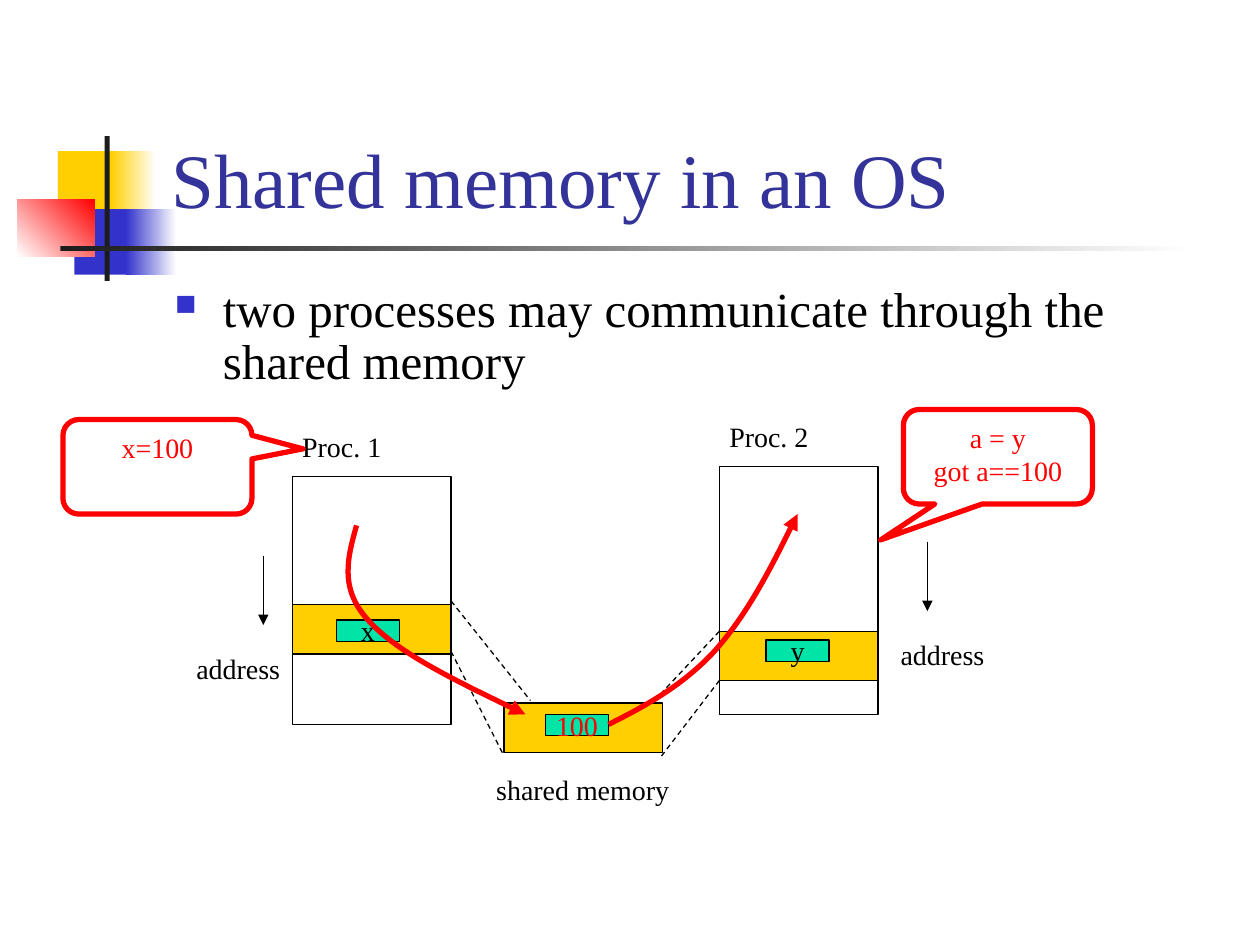
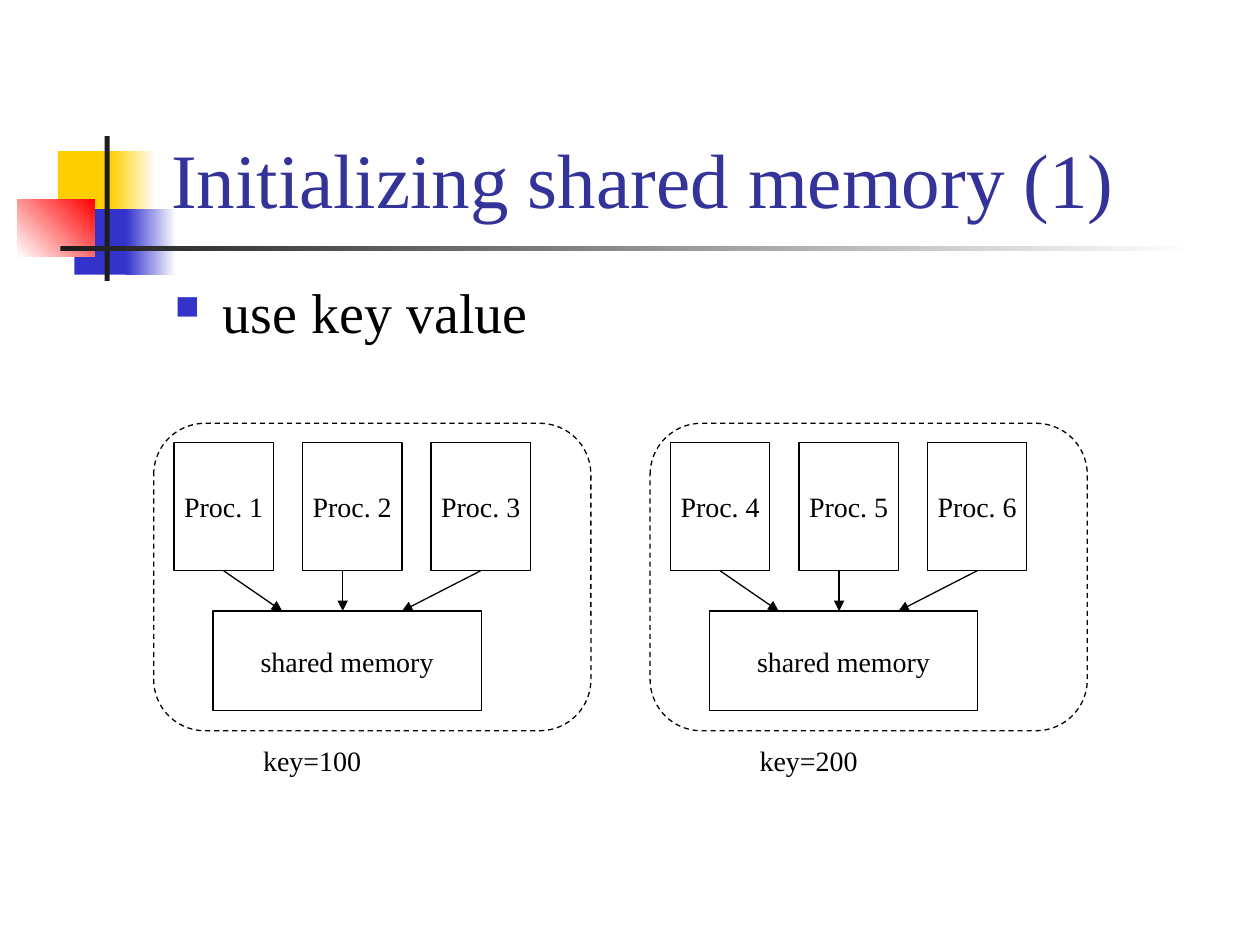
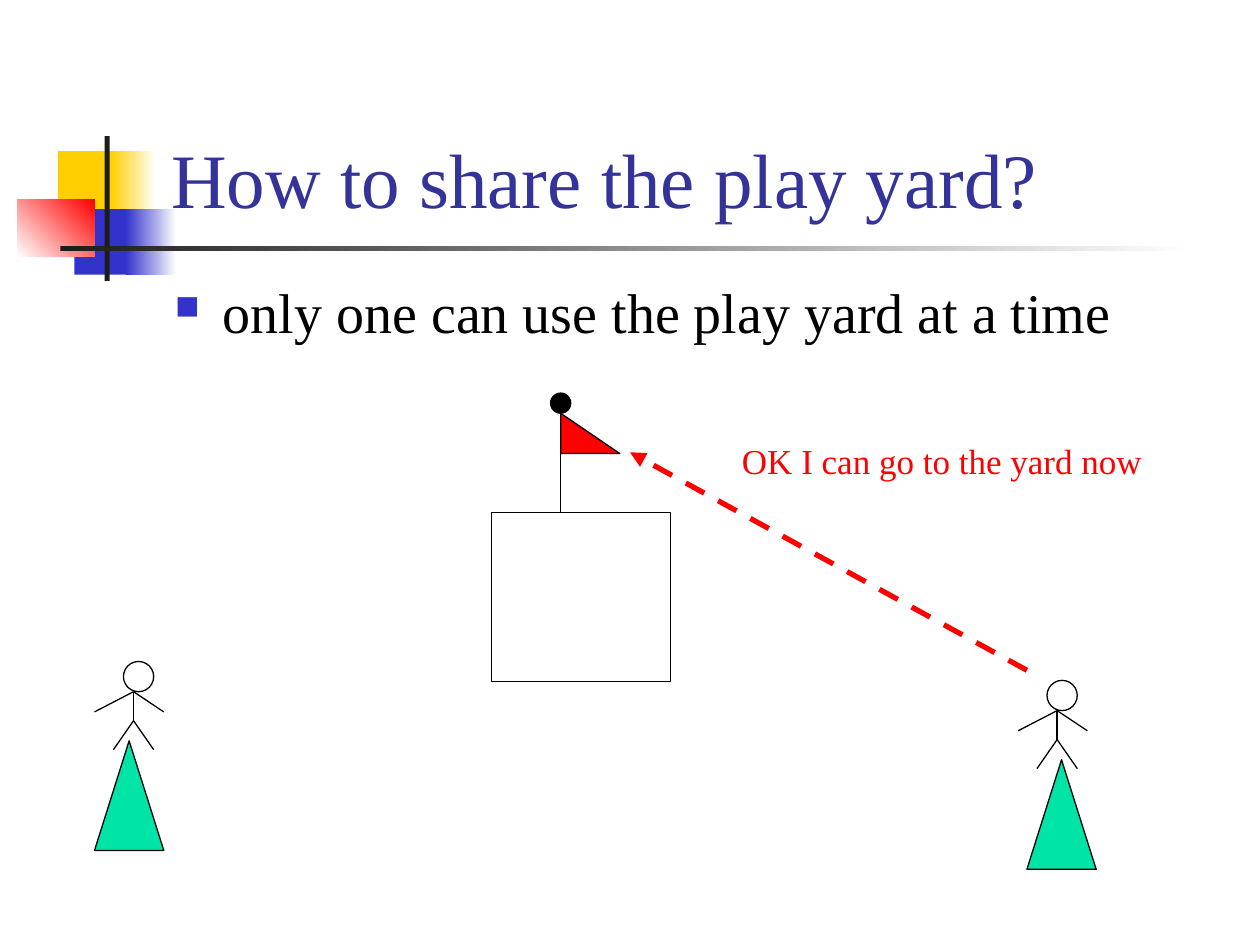
"""Build three slides on shared memory and taking turns."""
from lxml.etree import SubElement
from pptx import Presentation
from pptx.dml.color import RGBColor as Rgb
from pptx.enum.dml import MSO_LINE as Dash
from pptx.enum.shapes import MSO_CONNECTOR as Conn, MSO_SHAPE as Kind
from pptx.enum.text import MSO_ANCHOR as Anchor, MSO_AUTO_SIZE as Fit, PP_ALIGN as Align
from pptx.oxml.ns import qn
from pptx.util import Inches, Pt

FONT = "Times New Roman"
HUES = {"black": "000000", "white": "FFFFFF", "red": "FF0000", "gold": "FFCF01",
        "blue": "3333CC", "navy": "333399", "green": "00E4A8", "dark": "1C1C1C"}
TONE = {name: Rgb.from_string(code) for name, code in HUES.items()}


def box(slide, kind, spot, text="", fill=None, edge="black", wide=0.75, ink="black", size=16):
    """Add a shape, or a plain label when kind is None."""
    spot = [Inches(v) for v in spot]
    if kind is None:
        shape = slide.shapes.add_textbox(*spot)
    else:
        shape = slide.shapes.add_shape(kind, *spot)
        shape.shadow.inherit = False
        if fill:
            shape.fill.solid()
            shape.fill.fore_color.rgb = TONE[fill]
        else:
            shape.fill.background()
        if edge:
            shape.line.color.rgb = TONE[edge]
            shape.line.width = Pt(wide)
        else:
            shape.line.fill.background()
    if text:
        frame = shape.text_frame
        frame.text = text
        frame.word_wrap = False
        for para in frame.paragraphs:
            para.alignment = Align.CENTER if kind else Align.LEFT
            para.font.name = FONT
            para.font.size = Pt(size)
            para.font.color.rgb = TONE[ink]
    return shape


def link(slide, dots, ink="black", wide=0.75, dash=False, arrow=False):
    """Draw a straight line through two points or a curve through more."""
    dots = [(Inches(x), Inches(y)) for x, y in dots]
    if len(dots) == 2:
        line = slide.shapes.add_connector(Conn.STRAIGHT, *dots[0], *dots[1])
    else:
        pen = slide.shapes.build_freeform(*dots[0])
        pen.add_line_segments(dots[1:], close=False)
        line = pen.convert_to_shape()
        line.fill.background()
        route = line.element.find(".//" + qn("a:path"))
        legs = route.findall(qn("a:lnTo"))
        for i in range(0, len(legs), 3):
            curve = SubElement(route, qn("a:cubicBezTo"))
            for leg in legs[i:i + 3]:
                curve.append(leg[0])
                route.remove(leg)
    line.line.color.rgb = TONE[ink]
    line.line.width = Pt(wide)
    if dash:
        line.line.dash_style = Dash.DASH
    props = line.element.spPr
    if arrow:
        SubElement(props.find(qn("a:ln")), qn("a:tailEnd"), type="triangle")
    SubElement(props, qn("a:effectLst"))
    return line


deck = Presentation()
deck.slide_width, deck.slide_height = Inches(10), Inches(7.5)
layout = deck.slide_layouts[5]

slides = []
for head, point, size, tall in [
    ("Shared memory in an OS", "two processes may communicate through the shared memory", 28, 0.99),
    ("Initializing shared memory (1)", "use key value", 32, 0.6),
    ("How to share the play yard?", "only one can use the play yard at a time", 32, 0.6),
]:
    slide = deck.slides.add_slide(layout)
    slides.append(slide)
    title = slide.shapes.title
    title.left, title.top, title.width, title.height = [Inches(v) for v in (1.26, 0.23, 8.52, 1.6)]
    frame = title.text_frame
    frame.text = head
    frame.auto_size = Fit.NONE
    frame.vertical_anchor = Anchor.BOTTOM
    para = frame.paragraphs[0]
    para.alignment = Align.LEFT
    para.font.name = FONT
    para.font.size = Pt(44)
    para.font.color.rgb = TONE["navy"]

    body = box(slide, None, (1.29, 2.21, 8.5, tall), point, size=size)
    body.text_frame.word_wrap = True
    para = body.text_frame.paragraphs[0]
    para.line_spacing = 0.9
    props = para._p.get_or_add_pPr()
    props.set("marL", str(Inches(0.38)))
    props.set("indent", str(Inches(-0.38)))
    SubElement(SubElement(props, qn("a:buClr")), qn("a:srgbClr"), val=HUES["blue"])
    SubElement(props, qn("a:buSzPct"), val="60000")
    SubElement(props, qn("a:buChar"), char="■")

memory, keys, yard = slides

for spot, start, end, angle in [
    ((0.46, 1.2, 0.48, 0.52), "gold", None, 0),
    ((0.88, 1.2, 0.36, 0.52), "gold", "white", 0),
    ((0.59, 1.66, 0.46, 0.52), "blue", None, 0),
    ((1, 1.66, 0.4, 0.52), "blue", "white", 0),
    ((0.14, 1.58, 0.61, 0.46), "white", "red", 45),
    ((0.83, 1.08, 0.04, 1.15), "dark", None, 0),
    ((0.48, 1.95, 9, 0.04), "dark", "white", 0),
]:
    block = box(memory, Kind.RECTANGLE, spot, fill=start, edge=None)
    if end:
        block.fill.gradient()
        block.fill.gradient_angle = angle
        for stop, tone in zip(block.fill.gradient_stops, (start, end)):
            stop.color.rgb = TONE[tone]
    layout.shapes._spTree.append(block.element)

for name, x, y, band, side, note in [
    ("Proc. 1", 2.32, 3.78, 4.8, 2.09, (1.46, 5.12)),
    ("Proc. 2", 5.71, 3.7, 5.01, 7.36, (7.05, 5.01)),
]:
    box(memory, Kind.RECTANGLE, (x, y, 1.26, 1.97))
    box(memory, None, (x - 0.02, y - 0.42, 0.83, 0.37), name)
    link(memory, [(side, note[1] - 0.71), (side, note[1] - 0.16)], arrow=True)
    box(memory, None, (*note, 0.9, 0.37), "address")
    box(memory, Kind.RECTANGLE, (x, band, 1.26, 0.39), fill="gold")
box(memory, None, (3.84, 6.08, 1.57, 0.37), "shared memory")
for start, end in [((3.58, 4.77), (4.21, 5.56)), ((3.58, 5.17), (4, 6)),
                   ((5.71, 5.01), (5.25, 5.5)), ((5.71, 5.4), (5.25, 6))]:
    link(memory, [start, end], dash=True)
box(memory, Kind.RECTANGLE, (4, 5.58, 1.26, 0.39), fill="gold")
for text, x, y, ink in [("x", 2.67, 4.92, "black"), ("y", 6.08, 5.08, "black"),
                        ("100", 4.33, 5.67, "red")]:
    box(memory, Kind.RECTANGLE, (x, y, 0.5, 0.17), text, fill="green", ink=ink)
for text, x, y, tip in [("a = y\ngot a==100", 7.17, 3.25, (-0.62, 0.88)),
                        ("x=100", 0.5, 3.33, (0.77, -0.19))]:
    bubble = box(memory, Kind.ROUNDED_RECTANGULAR_CALLOUT, (x, y, 1.5, 0.75), text,
                 edge="red", wide=3, ink="red")
    bubble.adjustments[0], bubble.adjustments[1] = tip
    bubble.text_frame.word_wrap = True
    bubble.text_frame.vertical_anchor = Anchor.TOP
for dots in [
    [(2.83, 4.17), (2.76, 4.42), (2.69, 4.67), (2.92, 4.92), (3.14, 5.17), (3.65, 5.42), (4.17, 5.67)],
    [(4.83, 5.75), (5.13, 5.6), (5.42, 5.44), (5.67, 5.17), (5.92, 4.89), (6.13, 4.49), (6.33, 4.08)],
]:
    link(memory, dots, "red", 3, arrow=True)

for g, key in enumerate((100, 200)):
    x = 1.22 + 3.94 * g
    procs = [box(keys, Kind.RECTANGLE, (x + 0.16 + 1.02 * i, 3.51, 0.79, 1.02),
                 f"Proc. {3 * g + i + 1}") for i in range(3)]
    box(keys, Kind.RECTANGLE, (x + 0.47, 4.85, 2.13, 0.79), "shared memory")
    for proc, start, end in zip(procs, (0.55, 1.5, 2.6), (1.02, 1.5, 1.97)):
        arrow = link(keys, [(x + start, 4.53), (x + end, 4.85)], arrow=True)
        if proc is not procs[1]:
            arrow.begin_connect(proc, 2)
    ring = box(keys, Kind.ROUNDED_RECTANGLE, (x, 3.36, 3.47, 2.44))
    ring.line.dash_style = Dash.DASH
    box(keys, None, (x + 0.77, 5.85, 0.98, 0.37), f"key={key}")

box(yard, Kind.RECTANGLE, (3.9, 4.07, 1.42, 1.34))
link(yard, [(4.45, 4.07), (4.45, 3.2)])
box(yard, Kind.OVAL, (4.37, 3.12, 0.16, 0.16), fill="black")
for x, y, base in [(0.98, 5.25, 0.75), (8.31, 5.4, 8.15)]:
    box(yard, Kind.ISOSCELES_TRIANGLE, (base, y + 0.63, 0.55, 0.87), fill="green")
    box(yard, Kind.OVAL, (x, y, 0.24, 0.24))
    neck, hip = (x + 0.08, y + 0.24), (x + 0.08, y + 0.47)
    link(yard, [neck, hip])
    for dx in (-0.31, 0.24):
        link(yard, [neck, (neck[0] + dx, neck[1] + 0.16)])
    for dx in (-0.16, 0.16):
        link(yard, [hip, (hip[0] + dx, hip[1] + 0.23)])
link(yard, [(8.15, 5.32), (5, 3.59)], "red", 3, dash=True, arrow=True)
box(yard, None, (5.79, 3.44, 3.45, 0.44), "OK I can go to the yard now", ink="red", size=20)
box(yard, Kind.RIGHT_TRIANGLE, (4.45, 3.28, 0.47, 0.32), fill="red")

deck.save("out.pptx")
